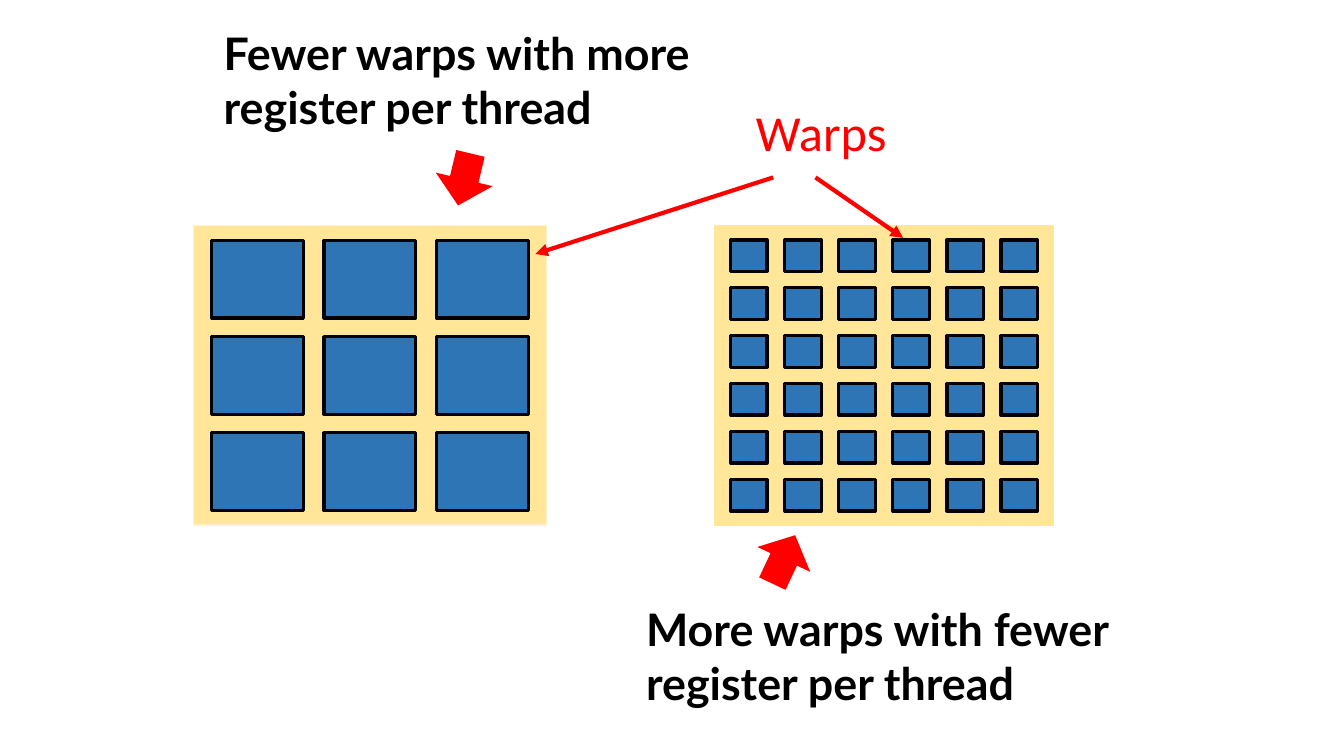
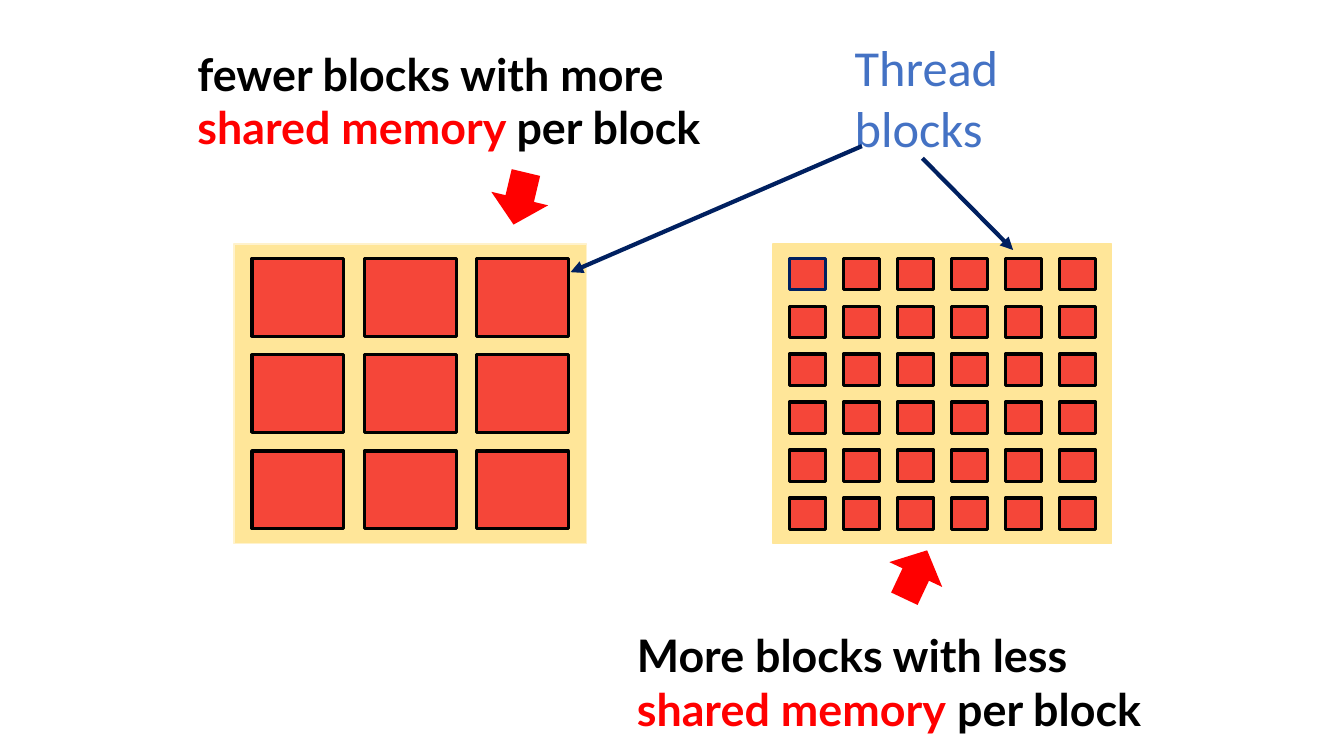
from dataclasses import dataclass

from lxml import etree
from pptx import Presentation
from pptx.dml.color import RGBColor
from pptx.enum.shapes import MSO_CONNECTOR, MSO_SHAPE
from pptx.enum.text import MSO_ANCHOR, MSO_AUTO_SIZE
from pptx.oxml.ns import qn
from pptx.util import Inches, Pt

RECTANGLE = MSO_SHAPE.RECTANGLE
RIGHT_ARROW = MSO_SHAPE.RIGHT_ARROW
STRAIGHT = MSO_CONNECTOR.STRAIGHT
GROW = MSO_AUTO_SIZE.SHAPE_TO_FIT_TEXT
TOP = MSO_ANCHOR.TOP
SLIDE_WIDTH = Inches(13.333)
SLIDE_HEIGHT = Inches(7.5)


@dataclass(frozen=True)
class Theme:
    """Colours, fonts and point sizes shared by the slides."""
    black: str = "000000"
    red: str = "FF0000"
    warp: str = "2E75B6"
    block: str = "F54639"
    panel: str = "FFE699"
    panel_edge: str = "FFF2CC"
    navy: str = "002060"
    label_blue: str = "4472C4"
    caption_font: str = "Lato"
    caption_size: float = 32
    label_font: str = "Calibri"
    label_size: float = 36
    panel_line: float = 1
    cell_line: float = 2.25
    pointer_line: float = 3


@dataclass(frozen=True)
class CellGrid:
    """A panel of equal cells, measured in percent of the slide."""
    count: int
    width: float
    cell_width: float
    cell_height: float
    inset_x: float
    inset_y: float
    edge: str
    height: float = 39.6


THEME = Theme()
FEW_CELLS = CellGrid(3, 26.25, 6.83, 10.27, 1.35, 1.93, THEME.panel_edge)
MANY_CELLS = CellGrid(6, 25.2, 2.7, 4.13, 1.2, 1.87, THEME.panel)
CAPTION_HEIGHT = 15.73
TOP_CAPTION_WIDTH = 40.13
BOTTOM_CAPTION_WIDTH = 42.9
LABEL_WIDTH = 14.55
ARROW_WIDTH = 3.98
ARROW_HEIGHT = 7.73
DOWN_TURN = 103.4
UP_TURN = 295.2


def across(percent):
    """Return a share of the slide width."""
    return round(SLIDE_WIDTH * percent / 100)


def down(percent):
    """Return a share of the slide height."""
    return round(SLIDE_HEIGHT * percent / 100)


def area(left, top, width, height):
    """Return a box given in percent as slide lengths."""
    return across(left), down(top), across(width), down(height)


def add_filled_shape(slide, kind, box, fill, line=None, line_width=0):
    """Add a flat shape with an optional outline."""
    shape = slide.shapes.add_shape(kind, *area(*box))
    shape.shadow.inherit = False
    shape.fill.solid()
    shape.fill.fore_color.rgb = RGBColor.from_string(fill)
    if line:
        shape.line.color.rgb = RGBColor.from_string(line)
        shape.line.width = Pt(line_width)
    else:
        shape.line.fill.background()
    return shape


def add_cell_grid(slide, grid, left, top, fill, first_line=THEME.black):
    """Add a panel and spread its cells evenly inside the insets."""
    add_filled_shape(slide, RECTANGLE, (left, top, grid.width, grid.height),
                     THEME.panel, grid.edge, THEME.panel_line)
    steps = grid.count - 1
    pitch_x = (grid.width - 2 * grid.inset_x - grid.cell_width) / steps
    pitch_y = (grid.height - 2 * grid.inset_y - grid.cell_height) / steps
    for row in range(grid.count):
        for column in range(grid.count):
            box = (left + grid.inset_x + column * pitch_x,
                   top + grid.inset_y + row * pitch_y,
                   grid.cell_width, grid.cell_height)
            line = first_line if row == column == 0 else THEME.black
            add_filled_shape(slide, RECTANGLE, box, fill, line, THEME.cell_line)


def add_text(slide, box, runs, font, size, bold=False):
    """Add a wrapping text box from (text, colour) runs."""
    frame = slide.shapes.add_textbox(*area(*box)).text_frame
    frame.word_wrap = True
    frame.auto_size = GROW
    frame.vertical_anchor = TOP
    paragraph = frame.paragraphs[0]
    for text, color in runs:
        run = paragraph.add_run()
        run.text = text
        run.font.name = font
        run.font.size = Pt(size)
        run.font.bold = bold
        run.font.color.rgb = RGBColor.from_string(color)


def add_caption(slide, left, top, width, runs):
    """Add a bold caption beside a panel."""
    add_text(slide, (left, top, width, CAPTION_HEIGHT), runs,
             THEME.caption_font, THEME.caption_size, bold=True)


def add_label(slide, left, top, height, text, color):
    """Add the name of the cells that the pointers lead to."""
    add_text(slide, (left, top, LABEL_WIDTH, height), [(text, color)],
             THEME.label_font, THEME.label_size)


def add_block_arrow(slide, left, top, rotation):
    """Add a turned red arrow between a caption and its panel."""
    box = (left, top, ARROW_WIDTH, ARROW_HEIGHT)
    add_filled_shape(slide, RIGHT_ARROW, box, THEME.red).rotation = rotation


def add_pointer(slide, start, end, color):
    """Add a thin line with an arrowhead at its end."""
    connector = slide.shapes.add_connector(
        STRAIGHT, across(start[0]), down(start[1]), across(end[0]), down(end[1]))
    connector.line.color.rgb = RGBColor.from_string(color)
    connector.line.width = Pt(THEME.pointer_line)
    properties = connector.element.spPr
    etree.SubElement(properties.find(qn("a:ln")), qn("a:tailEnd"), type="triangle")
    etree.SubElement(properties, qn("a:effectLst"))


def build_warps_slide(slide):
    """Compare few large warps with many small ones."""
    add_cell_grid(slide, FEW_CELLS, 14.4, 29.87, THEME.warp)
    add_cell_grid(slide, MANY_CELLS, 53.18, 29.87, THEME.warp)
    add_caption(slide, 15.9, 2.8, TOP_CAPTION_WIDTH,
                [("Fewer warps with more register per thread", THEME.black)])
    add_caption(slide, 47.33, 78.93, BOTTOM_CAPTION_WIDTH,
                [("More warps with fewer register per thread", THEME.black)])
    add_block_arrow(slide, 32.55, 19.87, DOWN_TURN)
    add_block_arrow(slide, 56.33, 70.13, UP_TURN)
    add_label(slide, 55.5, 12.67, 9.47, "Warps", THEME.red)
    add_pointer(slide, (57.53, 23.47), (39.83, 33.6), THEME.red)
    add_pointer(slide, (60.68, 23.47), (67.2, 31.47), THEME.red)


def build_blocks_slide(slide):
    """Compare few large thread blocks with many small ones."""
    add_cell_grid(slide, FEW_CELLS, 17.4, 32.27, THEME.block)
    add_cell_grid(slide, MANY_CELLS, 57.53, 32.27, THEME.block, THEME.navy)
    add_caption(slide, 13.95, 5.47, TOP_CAPTION_WIDTH,
                [("fewer blocks with more ", THEME.black),
                 ("shared memory ", THEME.red), ("per block", THEME.black)])
    add_caption(slide, 46.65, 82.4, BOTTOM_CAPTION_WIDTH,
                [("More blocks with less ", THEME.black),
                 ("shared memory", THEME.red), (" per block", THEME.black)])
    add_block_arrow(slide, 36.68, 22.4, DOWN_TURN)
    add_block_arrow(slide, 66.15, 72.13, UP_TURN)
    add_label(slide, 62.85, 4.13, 17.47, "Thread blocks", THEME.label_blue)
    add_pointer(slide, (64.13, 19.33), (42.45, 36), THEME.navy)
    add_pointer(slide, (68.63, 20.93), (75.38, 33.07), THEME.navy)


def main():
    """Build and save the presentation."""
    presentation = Presentation()
    presentation.slide_width = SLIDE_WIDTH
    presentation.slide_height = SLIDE_HEIGHT
    blank_layout = presentation.slide_layouts[6]
    for build_slide in (build_warps_slide, build_blocks_slide):
        build_slide(presentation.slides.add_slide(blank_layout))
    presentation.save("out.pptx")


if __name__ == "__main__":
    main()
